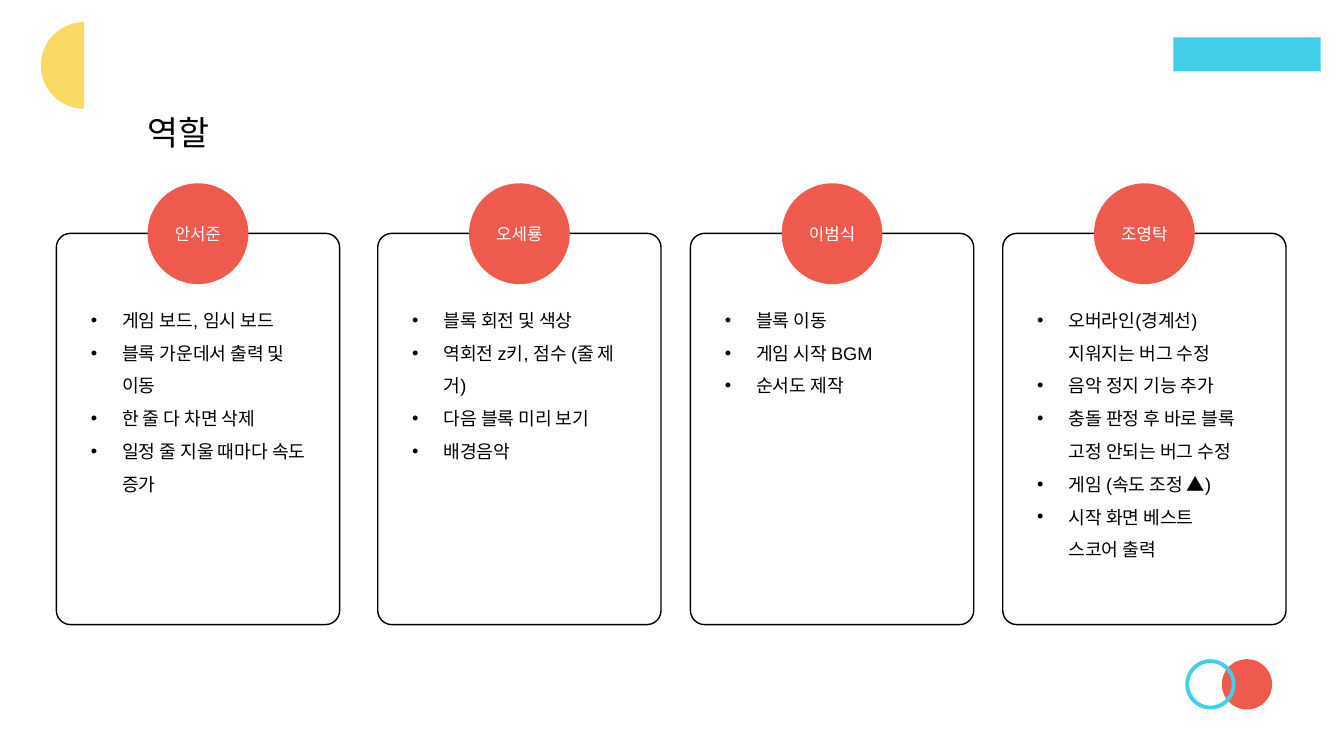
from math import cos, pi, sin

from lxml import etree
from pptx import Presentation
from pptx.dml.color import RGBColor
from pptx.enum.shapes import MSO_SHAPE
from pptx.enum.text import MSO_ANCHOR, MSO_AUTO_SIZE, PP_ALIGN
from pptx.oxml.ns import qn
from pptx.util import Cm, Pt

OVAL, RECT, CARD = MSO_SHAPE.OVAL, MSO_SHAPE.RECTANGLE, MSO_SHAPE.ROUNDED_RECTANGLE
MIDDLE, GROW = MSO_ANCHOR.MIDDLE, MSO_AUTO_SIZE.SHAPE_TO_FIT_TEXT
LEFT, CENTER = PP_ALIGN.LEFT, PP_ALIGN.CENTER
COLORS = {"black": "000000", "white": "FFFFFF", "red": "EE5A4E",
          "blue": "40CEE9", "yellow": "FBD965"}
FONT = "Arial"

deck = Presentation()
deck.slide_width, deck.slide_height = Cm(33.87), Cm(19.05)
slide = deck.slides.add_slide(deck.slide_layouts[6])
shapes = slide.shapes


def paint(shape, fill=None, line=None, width=1):
    shape.shadow.inherit = False
    if fill:
        shape.fill.solid()
        shape.fill.fore_color.rgb = RGBColor.from_string(COLORS[fill])
    else:
        shape.fill.background()
    if line:
        shape.line.color.rgb = RGBColor.from_string(COLORS[line])
        shape.line.width = Pt(width)
    else:
        shape.line.fill.background()


def write(shape, text, size=13, color="black", align=LEFT, bullet=False):
    frame = shape.text_frame
    frame.word_wrap = True
    for i, item in enumerate(text):
        para = frame.add_paragraph() if i else frame.paragraphs[0]
        para.text = item
        para.alignment = align
        if bullet:
            para.line_spacing = 1.5
            props = para._p.get_or_add_pPr()
            props.set("marL", str(Cm(0.79)))
            props.set("indent", str(-Cm(0.79)))
            etree.SubElement(props, qn("a:buFont"), typeface=FONT)
            etree.SubElement(props, qn("a:buChar"), char="•")
        for gap in para._p.findall(qn("a:br")):
            etree.SubElement(gap, qn("a:rPr"), sz=str(size * 100))
        for run in para.runs:
            run.font.size = Pt(size)
            run.font.name = FONT
            run.font.color.rgb = RGBColor.from_string(COLORS[color])


# Corner decoration
x, y, r, steps = 2.12, 1.65, 1.09, 60
arc = [(Cm(x - r * sin(pi * i / steps)), Cm(y - r * cos(pi * i / steps)))
       for i in range(steps + 1)]
half = shapes.build_freeform(*arc[0])
half.add_line_segments(arc[1:], close=True)
paint(half.convert_to_shape(), fill="yellow")

disc = shapes.add_shape(OVAL, Cm(30.84), Cm(16.66), Cm(1.17), Cm(1.17))
paint(disc, fill="red", line="red", width=2.75)
ring = shapes.add_shape(OVAL, Cm(29.92), Cm(16.66), Cm(1.17), Cm(1.17))
paint(ring, line="blue", width=2.75)
bar = shapes.add_shape(RECT, Cm(29.57), Cm(0.94), Cm(3.71), Cm(0.86))
paint(bar, fill="blue")

# Title
title = shapes.add_textbox(Cm(3.48), Cm(2.69), Cm(9.27), Cm(1.27))
write(title, ["역할"], size=24)

# Role cards: left edge, name, line count, tasks
roles = [
    (1.42, "안서준", 6, ["게임 보드, 임시 보드", "블록 가운데서 출력 및 이동",
                      "한 줄 다 차면 삭제", "일정 줄 지울 때마다 속도 증가"]),
    (9.52, "오세룡", 5, ["블록 회전 및 색상", "역회전 z키, 점수 (줄 제거)",
                      "다음 블록 미리 보기", "배경음악"]),
    (17.4, "이범식", 3, ["블록 이동", "게임 시작 BGM", "순서도 제작"]),
    (25.27, "조영탁", 8, ["오버라인(경계선) 지워지는 버그 수정", "음악 정지 기능 추가",
                       "충돌 판정 후 바로 블록 고정 안되는 버그 수정",
                       "게임 (속도 조정 ▲)", "시작 화면 베스트 \v스코어 출력"]),
]
for left, name, lines, tasks in roles:
    card = shapes.add_shape(CARD, Cm(left), Cm(5.88), Cm(7.14), Cm(9.86))
    card.adjustments[0] = 0.05
    paint(card, line="black")

    body = shapes.add_textbox(Cm(left + 0.62), Cm(7.39), Cm(6.05),
                              Cm(0.26 + 0.83 * lines))
    write(body, tasks, bullet=True)
    body.text_frame.auto_size = GROW

    badge = shapes.add_shape(OVAL, Cm(left + 2.3), Cm(4.62), Cm(2.54), Cm(2.54))
    paint(badge, fill="red")
    frame = badge.text_frame
    frame.margin_left = frame.margin_right = frame.margin_top = frame.margin_bottom = 0
    frame.vertical_anchor = MIDDLE
    write(badge, [name], size=12, color="white", align=CENTER)

deck.save("out.pptx")
